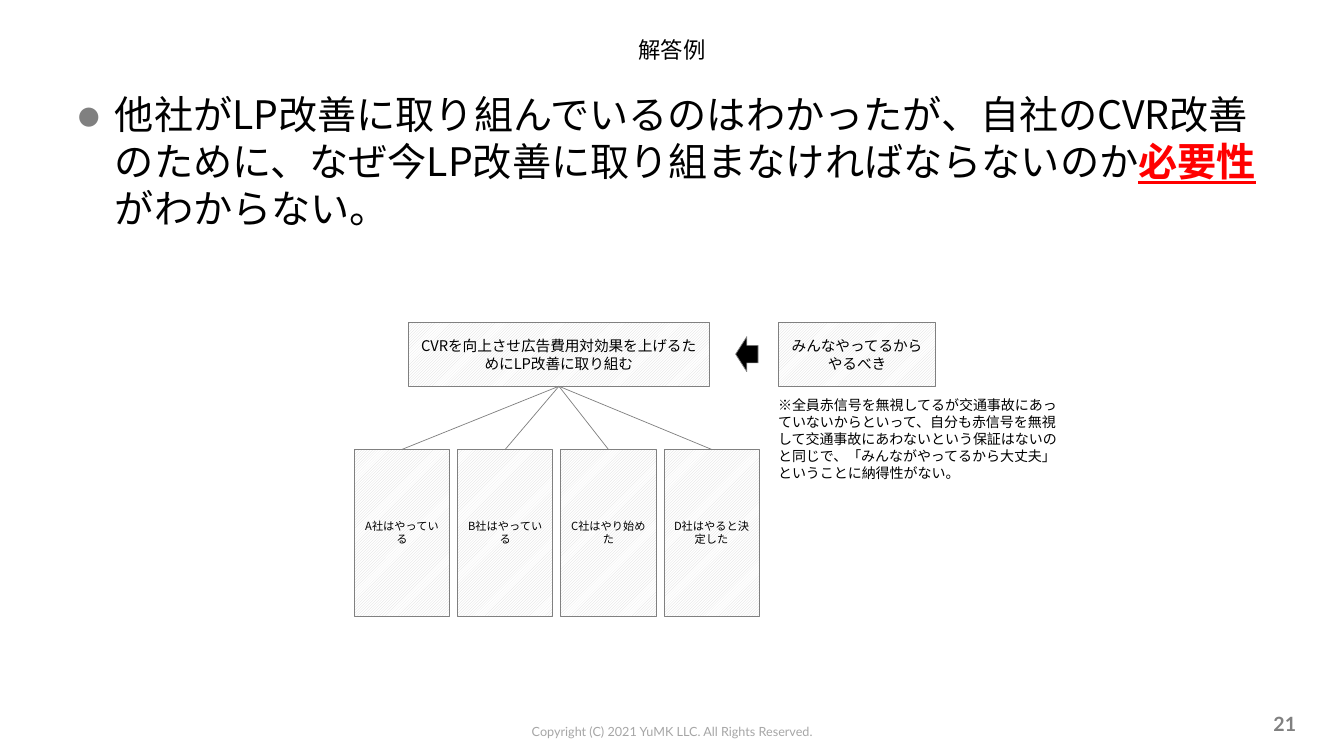
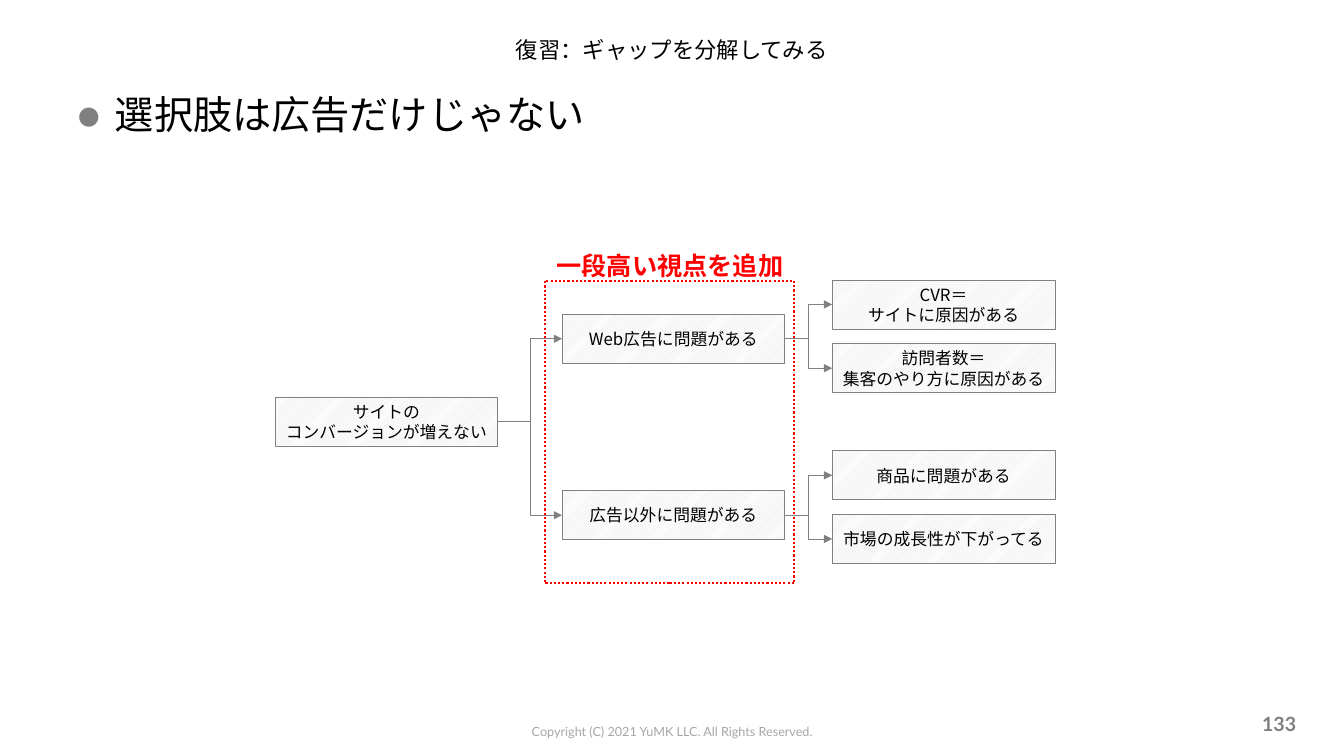
from dataclasses import dataclass
from typing import Any, Optional

from lxml.etree import SubElement
from pptx import Presentation
from pptx.dml.color import RGBColor
from pptx.enum.dml import MSO_LINE, MSO_PATTERN
from pptx.enum.shapes import MSO_CONNECTOR, MSO_SHAPE
from pptx.enum.text import MSO_ANCHOR, PP_ALIGN
from pptx.oxml.ns import qn
from pptx.util import Pt

COLORS = {"black": "000000", "white": "FFFFFF", "red": "FF0000",
          "gray": "808080", "footer": "A6A6A6", "hatch": "D9D9D9"}
JAPANESE, LATIN = "Noto Sans CJK JP", "Lato"
TOP, LEFT, BOTTOM, RIGHT = range(4)


@dataclass(frozen=True)
class Area:
    x: float
    y: float
    w: float
    h: float

    def lengths(self) -> tuple[Pt, Pt, Pt, Pt]:
        return Pt(self.x), Pt(self.y), Pt(self.w), Pt(self.h)


@dataclass(frozen=True)
class Style:
    size: float
    color: str = "black"
    font: str = JAPANESE
    bold: bool = False
    underline: bool = False


@dataclass(frozen=True)
class Box:
    lines: tuple[str, ...]
    area: Area
    size: float


@dataclass(frozen=True)
class Branch:
    box: Box
    children: tuple[Box, ...]


TITLE = Style(16)
BODY = Style(28)
KEYWORD = Style(28, "red", bold=True, underline=True)
FOOTER = Style(9, "footer", LATIN)
NUMBER = Style(14, "gray", LATIN, bold=True)

TITLE_AREA = Area(48, 16, 864, 39)
BODY_AREA = Area(48, 61, 864, 417)
FOOTER_AREA = Area(302.5, 513.4, 355, 18)
NUMBER_AREA = Area(709, 502.5, 224, 29)
COPYRIGHT = "Copyright (C) 2021 YuMK LLC. All Rights Reserved."


def rgb(name: str) -> RGBColor:
    return RGBColor.from_string(COLORS[name])


def add_run(p: Any, text: str, style: Style) -> None:
    r = p.add_run()
    r.text = text
    r.font.size = Pt(style.size)
    r.font.bold = style.bold
    r.font.underline = style.underline
    r.font.color.rgb = rgb(style.color)
    r.font.name = style.font
    SubElement(r.font._element, qn("a:ea")).set("typeface", style.font)


def add_text(s: Any, area: Area, runs: list[tuple[str, Style]],
             align: PP_ALIGN = PP_ALIGN.LEFT,
             anchor: MSO_ANCHOR = MSO_ANCHOR.TOP, wrap: bool = True) -> Any:
    tf = s.shapes.add_textbox(*area.lengths()).text_frame
    tf.word_wrap = wrap
    tf.vertical_anchor = anchor
    p = tf.paragraphs[0]
    p.alignment = align
    for text, style in runs:
        add_run(p, text, style)
    return p


def add_bullet(p: Any) -> None:
    pPr = p._p.get_or_add_pPr()
    pPr.set("marL", str(Pt(27)))
    pPr.set("indent", str(-Pt(27)))
    color = SubElement(pPr, qn("a:buClr"))
    SubElement(color, qn("a:srgbClr")).set("val", COLORS["gray"])
    SubElement(pPr, qn("a:buFont")).set("typeface", LATIN)
    SubElement(pPr, qn("a:buChar")).set("char", "●")


def add_page(prs: Any, title: str, body: list[tuple[str, Style]], number: str) -> Any:
    s = prs.slides.add_slide(prs.slide_layouts[6])
    add_text(s, FOOTER_AREA, [(COPYRIGHT, FOOTER)], PP_ALIGN.CENTER)
    add_text(s, TITLE_AREA, [(title, TITLE)], PP_ALIGN.CENTER, MSO_ANCHOR.MIDDLE)
    add_bullet(add_text(s, BODY_AREA, body))
    add_text(s, NUMBER_AREA, [(number, NUMBER)], PP_ALIGN.RIGHT, MSO_ANCHOR.MIDDLE)
    return s


def add_outlined(s: Any, kind: MSO_SHAPE, area: Area,
                 color: str = "gray", width: float = 0.5) -> Any:
    sp = s.shapes.add_shape(kind, *area.lengths())
    sp.shadow.inherit = False
    sp.line.color.rgb = rgb(color)
    sp.line.width = Pt(width)
    return sp


def add_box(s: Any, box: Box) -> Any:
    sp = add_outlined(s, MSO_SHAPE.RECTANGLE, box.area)
    sp.fill.patterned()
    sp.fill.pattern = MSO_PATTERN.LIGHT_UPWARD_DIAGONAL
    sp.fill.fore_color.rgb = rgb("hatch")
    sp.fill.back_color.rgb = rgb("white")
    tf = sp.text_frame
    tf.word_wrap = True
    tf.vertical_anchor = MSO_ANCHOR.MIDDLE
    for i, line in enumerate(box.lines):
        p = tf.add_paragraph() if i else tf.paragraphs[0]
        p.alignment = PP_ALIGN.CENTER
        add_run(p, line, Style(box.size))
    return sp


def join(s: Any, kind: MSO_CONNECTOR, start: Any, start_side: int,
         end: Any, end_side: int, head: Optional[str] = None) -> None:
    c = s.shapes.add_connector(kind, 0, 0, 0, 0)
    c.begin_connect(start, start_side)
    c.end_connect(end, end_side)
    c.line.color.rgb = rgb("gray")
    c.line.width = Pt(0.5)
    if head:
        SubElement(c.line._get_or_add_ln(), qn("a:tailEnd")).set("type", head)
    SubElement(c._element.spPr, qn("a:effectLst"))


def branch_out(s: Any, parent: Any, children: list[Any]) -> None:
    for child in children:
        join(s, MSO_CONNECTOR.ELBOW, parent, RIGHT, child, LEFT, "triangle")


def build_answer(prs: Any) -> None:
    s = add_page(prs, "解答例", [
        ("他社がLP改善に取り組んでいるのはわかったが、自社のCVR改善のために、"
         "なぜ今LP改善に取り組まなければならないのか", BODY),
        ("必要性", KEYWORD),
        ("がわからない。", BODY)], "21")
    claim = add_box(s, Box(
        ("CVRを向上させ広告費用対効果を上げるためにLP改善に取り組む",),
        Area(291.5, 230.4, 215.5, 45.5), 10.5))
    facts = ("A社はやっている", "B社はやっている", "C社はやり始めた", "D社はやると決定した")
    for i, fact in enumerate(facts):
        sp = add_box(s, Box((fact,), Area(253.2 + 73.7 * i, 321, 68, 119), 8))
        join(s, MSO_CONNECTOR.STRAIGHT, sp, TOP, claim, BOTTOM)
    arrow = add_outlined(s, MSO_SHAPE.LEFT_ARROW, Area(525.5, 240.5, 16, 25))
    arrow.fill.solid()
    arrow.fill.fore_color.rgb = rgb("black")
    add_box(s, Box(("みんなやってるからやるべき",), Area(556, 230.4, 112.5, 45.5), 10.5))
    add_text(s, Area(548.7, 280, 215, 68), [(
        "※全員赤信号を無視してるが交通事故にあっていないからといって、自分も赤信号を"
        "無視して交通事故にあわないという保証はないのと同じで、「みんながやってるから"
        "大丈夫」ということに納得性がない。", Style(10))])


def build_review(prs: Any) -> None:
    s = add_page(prs, "復習：ギャップを分解してみる",
                 [("選択肢は広告だけじゃない", BODY)], "133")

    def node(x: float, y: float, *lines: str) -> Box:
        return Box(lines, Area(x, y, 159, 35), 12)

    root_x, cause_x, detail_x = 196.5, 401.5, 594.5
    branches = (
        Branch(node(cause_x, 224.5, "Web広告に問題がある"), (
            node(detail_x, 200, "CVR＝", "サイトに原因がある"),
            node(detail_x, 245.5, "訪問者数＝", "集客のやり方に原因がある"))),
        Branch(node(cause_x, 350.5, "広告以外に問題がある"), (
            node(detail_x, 322, "商品に問題がある"),
            node(detail_x, 367.5, "市場の成長性が下がってる"))),
    )
    root = add_box(s, node(root_x, 283.5, "サイトの", "コンバージョンが増えない"))
    causes = []
    for branch in branches:
        cause = add_box(s, branch.box)
        branch_out(s, cause, [add_box(s, child) for child in branch.children])
        causes.append(cause)
    branch_out(s, root, causes)

    frame = add_outlined(s, MSO_SHAPE.RECTANGLE, Area(389, 200.7, 178.5, 216), "red", 1.5)
    frame.fill.background()
    frame.line.dash_style = MSO_LINE.ROUND_DOT
    add_text(s, Area(389.5, 175, 178, 29),
             [("一段高い視点を追加", Style(18, "red", bold=True))],
             PP_ALIGN.CENTER, wrap=False)


def main() -> None:
    prs = Presentation()
    prs.slide_width, prs.slide_height = Pt(960), Pt(540)
    build_answer(prs)
    build_review(prs)
    prs.save("out.pptx")


if __name__ == "__main__":
    main()
